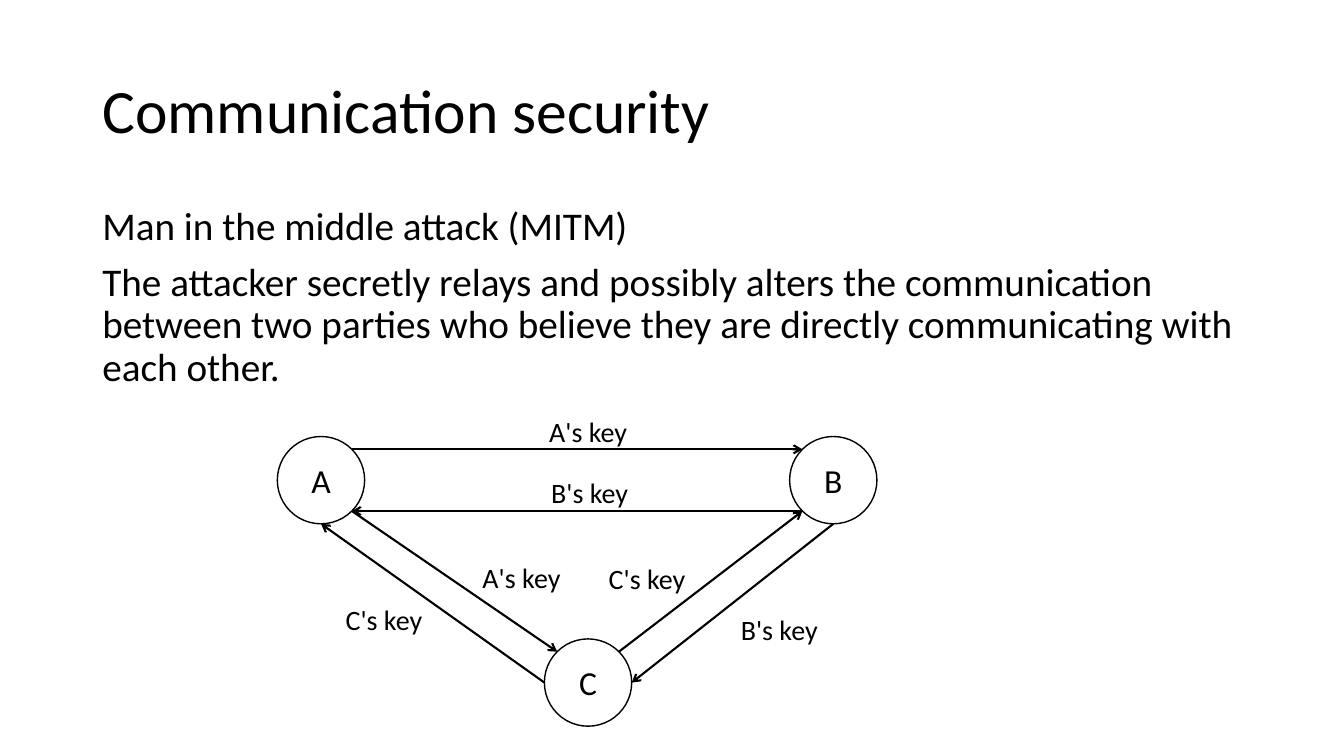
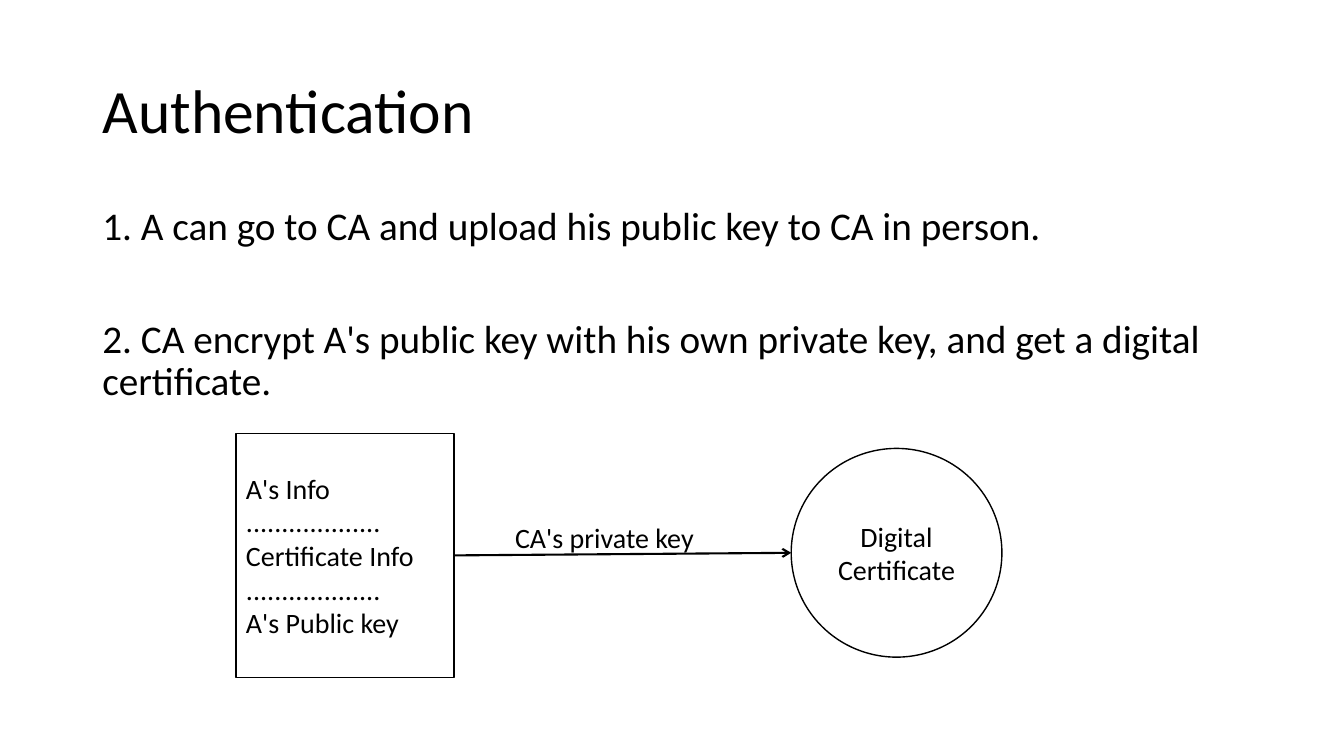
"""Build two slides on key exchange attacks and certificate authentication."""
from dataclasses import dataclass
from math import cos, radians, sin
from typing import NamedTuple

from lxml.etree import SubElement
from pptx import Presentation
from pptx.dml.color import RGBColor
from pptx.enum.shapes import MSO_CONNECTOR, MSO_SHAPE
from pptx.enum.text import MSO_ANCHOR, MSO_AUTO_SIZE, PP_ALIGN
from pptx.oxml.ns import qn
from pptx.slide import Slide
from pptx.text.text import TextFrame
from pptx.util import Cm, Pt


@dataclass(frozen=True)
class Theme:
    font: str = "Calibri"
    ink: RGBColor = RGBColor(0x00, 0x00, 0x00)
    paper: RGBColor = RGBColor(0xFF, 0xFF, 0xFF)
    title_size: float = 44
    body_size: float = 28
    party_size: float = 24
    label_size: float = 20
    outline: float = 1
    arrow: float = 1.5
    line_spacing: float = 0.9
    paragraph_gap: float = 10
    wide_gap: float = 50.75


class Point(NamedTuple):
    x: float
    y: float


class Box(NamedTuple):
    left: float
    top: float
    width: float
    height: float

    def lengths(self) -> tuple[Cm, ...]:
        return tuple(Cm(value) for value in self)

    def rim(self, degrees: float) -> Point:
        angle = radians(degrees)
        return Point(self.left + self.width / 2 * (1 + cos(angle)),
                     self.top + self.height / 2 * (1 + sin(angle)))


@dataclass(frozen=True)
class Node:
    box: Box
    lines: tuple[str, ...]
    size: float
    outline: MSO_SHAPE = MSO_SHAPE.OVAL
    align: PP_ALIGN = PP_ALIGN.CENTER


@dataclass(frozen=True)
class KeyTransfer:
    sender: Node
    sender_angle: float
    receiver: Node
    receiver_angle: float
    label: str
    label_at: Point
    label_width: float = 3.58


THEME = Theme()
SLIDE_WIDTH, SLIDE_HEIGHT = 33.87, 19.05
TITLE_BOX = Box(2.33, 1.01, 29.21, 3.68)
BODY_BOX = Box(2.33, 5.07, 29.21, 12.09)
LABEL_HEIGHT = 1.12
PARTY_DIAMETER = 2.2
RIGHT, LOWER_RIGHT, BOTTOM, LOWER_LEFT = 0, 45, 90, 135
LEFT, UPPER_LEFT, UPPER_RIGHT = 180, 225, 315


def write(frame: TextFrame, lines: tuple[str, ...], size: float,
          align: PP_ALIGN = PP_ALIGN.LEFT, spacing: float = 1,
          gap: float = 0, later_gap: float = 0) -> None:
    """Fill a frame with one paragraph per line."""
    frame.word_wrap = True
    for index, line in enumerate(lines):
        paragraph = frame.add_paragraph() if index else frame.paragraphs[0]
        paragraph.alignment = align
        paragraph.line_spacing = spacing
        paragraph.space_before = Pt(later_gap if index else gap)
        run = paragraph.add_run()
        run.text = line
        run.font.name = THEME.font
        run.font.size = Pt(size)
        run.font.color.rgb = THEME.ink


def add_topic(deck: Presentation, heading: str, points: tuple[str, ...],
              later_gap: float) -> Slide:
    """Add a slide with its title and body text."""
    slide = deck.slides.add_slide(deck.slide_layouts[5])
    title = slide.shapes.title
    title.left, title.top, title.width, title.height = TITLE_BOX.lengths()
    title.text_frame.vertical_anchor = MSO_ANCHOR.MIDDLE
    title.text_frame.auto_size = MSO_AUTO_SIZE.NONE
    write(title.text_frame, (heading,), THEME.title_size, spacing=THEME.line_spacing)
    body = slide.shapes.add_textbox(*BODY_BOX.lengths())
    write(body.text_frame, points, THEME.body_size, spacing=THEME.line_spacing,
          gap=THEME.paragraph_gap, later_gap=later_gap)
    return slide


def add_node(slide: Slide, node: Node) -> None:
    """Draw an outlined shape with its text."""
    shape = slide.shapes.add_shape(node.outline, *node.box.lengths())
    shape.shadow.inherit = False
    shape.fill.solid()
    shape.fill.fore_color.rgb = THEME.paper
    shape.line.color.rgb = THEME.ink
    shape.line.width = Pt(THEME.outline)
    shape.text_frame.vertical_anchor = MSO_ANCHOR.MIDDLE
    write(shape.text_frame, node.lines, node.size, node.align)


def add_transfer(slide: Slide, transfer: KeyTransfer) -> None:
    """Draw an arrow between two nodes and its label."""
    start = transfer.sender.box.rim(transfer.sender_angle)
    end = transfer.receiver.box.rim(transfer.receiver_angle)
    arrow = slide.shapes.add_connector(
        MSO_CONNECTOR.STRAIGHT, Cm(start.x), Cm(start.y), Cm(end.x), Cm(end.y))
    arrow.line.color.rgb = THEME.ink
    arrow.line.width = Pt(THEME.arrow)
    SubElement(arrow.line._get_or_add_ln(), qn("a:tailEnd"), type="arrow")
    SubElement(arrow._element.spPr, qn("a:effectLst"))
    label_box = Box(*transfer.label_at, transfer.label_width, LABEL_HEIGHT)
    label = slide.shapes.add_textbox(*label_box.lengths())
    label.text_frame.auto_size = MSO_AUTO_SIZE.SHAPE_TO_FIT_TEXT
    write(label.text_frame, (transfer.label,), THEME.label_size)


def add_diagram(slide: Slide, nodes: tuple[Node, ...],
                transfers: tuple[KeyTransfer, ...]) -> None:
    """Draw nodes and the key transfers between them."""
    for node in nodes:
        add_node(slide, node)
    for transfer in transfers:
        add_transfer(slide, transfer)


def party(name: str, left: float, top: float) -> Node:
    """Describe a circle for one communicating party."""
    return Node(Box(left, top, PARTY_DIAMETER, PARTY_DIAMETER), (name,), THEME.party_size)


def build_communication(deck: Presentation) -> None:
    """Build the man in the middle slide."""
    slide = add_topic(deck, "Communication security", (
        "Man in the middle attack (MITM)",
        "The attacker secretly relays and possibly alters the communication between "
        "two parties who believe they are directly communicating with each other.",
    ), THEME.paragraph_gap)
    a, b, c = party("A", 6.99, 11), party("B", 19.9, 11), party("C", 13.72, 16.1)
    add_diagram(slide, (a, b, c), (
        KeyTransfer(a, UPPER_RIGHT, b, UPPER_LEFT, "A's key", Point(13.59, 10.31)),
        KeyTransfer(b, LOWER_LEFT, a, LOWER_RIGHT, "B's key", Point(13.64, 11.86)),
        KeyTransfer(a, LOWER_RIGHT, c, UPPER_LEFT, "A's key", Point(11.91, 14)),
        KeyTransfer(c, LEFT, a, BOTTOM, "C's key", Point(8.46, 15.06)),
        KeyTransfer(c, UPPER_RIGHT, b, LOWER_LEFT, "C's key", Point(15.09, 14.02)),
        KeyTransfer(b, BOTTOM, c, RIGHT, "B's key", Point(18.42, 15.32)),
    ))


def build_authentication(deck: Presentation) -> None:
    """Build the digital certificate slide."""
    slide = add_topic(deck, "Authentication", (
        "1. A can go to CA and upload his public key to CA in person.",
        "2. CA encrypt A's public key with his own private key, and get a digital certificate.",
    ), THEME.wide_gap)
    divider = "." * 19
    request = Node(
        Box(5.95, 10.92, 5.49, 6.15),
        ("A's Info", divider, "Certificate Info", divider, "A's Public key"),
        THEME.label_size, MSO_SHAPE.RECTANGLE, PP_ALIGN.LEFT)
    certificate = Node(Box(19.94, 11.3, 5.31, 5.26), ("Digital Certificate",), THEME.label_size)
    add_diagram(slide, (request, certificate), (
        KeyTransfer(request, RIGHT, certificate, LEFT, "CA's private key",
                    Point(12.73, 13), 5.72),
    ))


def main() -> None:
    """Create and save the presentation."""
    deck = Presentation()
    deck.slide_width, deck.slide_height = Cm(SLIDE_WIDTH), Cm(SLIDE_HEIGHT)
    build_communication(deck)
    build_authentication(deck)
    deck.save("out.pptx")


main()
